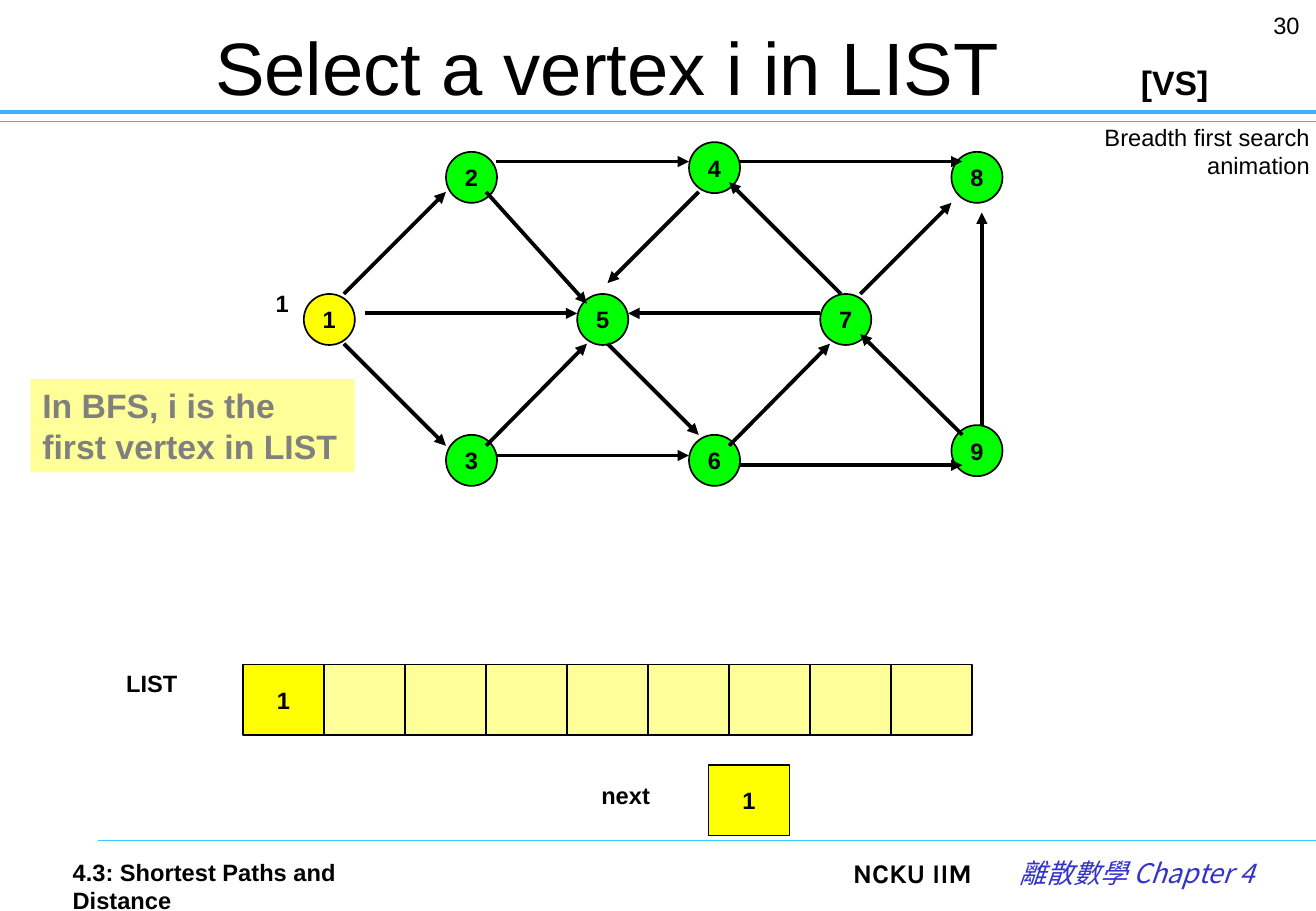
from dataclasses import dataclass

from lxml import etree
from pptx import Presentation
from pptx.dml.color import RGBColor
from pptx.enum.shapes import MSO_CONNECTOR, MSO_SHAPE
from pptx.enum.text import MSO_ANCHOR, PP_ALIGN
from pptx.oxml.ns import qn
from pptx.util import Inches, Pt

LEFT, CENTER, RIGHT = PP_ALIGN.LEFT, PP_ALIGN.CENTER, PP_ALIGN.RIGHT
TOP, MIDDLE = MSO_ANCHOR.TOP, MSO_ANCHOR.MIDDLE
OVAL, RECT = MSO_SHAPE.OVAL, MSO_SHAPE.RECTANGLE
STRAIGHT = MSO_CONNECTOR.STRAIGHT

BLACK, GREEN, YELLOW, PALE = "000000", "00FF00", "FFFF00", "FFFF99"
NODE = 0.42
CELL_W, CELL_H = 2 / 3, 0.58


@dataclass
class Label:
    text: str
    left: float
    top: float
    width: float
    height: float
    size: float = 14
    bold: bool = True
    italic: bool = False
    color: str = BLACK
    font: str = "Arial"
    align: PP_ALIGN = LEFT
    anchor: MSO_ANCHOR = TOP
    fill: str = ""
    pad: float = 0.1


@dataclass
class Box:
    kind: MSO_SHAPE
    left: float
    top: float
    width: float
    height: float
    fill: str
    text: str = ""


@dataclass
class Line:
    x1: float
    y1: float
    x2: float
    y2: float
    color: str = BLACK
    width: float = 2.25
    arrow: bool = True


def paint(target, color: str) -> None:
    target.rgb = RGBColor.from_string(color)


def fill_in(shape, color: str) -> None:
    shape.fill.solid()
    paint(shape.fill.fore_color, color)


def write(frame, label: Label) -> None:
    para = frame.paragraphs[0]
    para.alignment = label.align
    run = para.add_run()
    run.text = label.text
    font = run.font
    font.size, font.bold, font.italic = Pt(label.size), label.bold, label.italic
    font.name = label.font
    paint(font.color, label.color)
    props = run._r.get_or_add_rPr()
    etree.SubElement(props, qn("a:ea")).set("typeface", label.font)


def draw_label(slide, label: Label) -> None:
    area = map(Inches, (label.left, label.top, label.width, label.height))
    shape = slide.shapes.add_textbox(*area)
    frame = shape.text_frame
    frame.word_wrap = True
    frame.vertical_anchor = label.anchor
    frame.margin_left = frame.margin_right = Inches(label.pad)
    if label.fill:
        fill_in(shape, label.fill)
    write(frame, label)


def draw_box(slide, box: Box) -> None:
    area = (box.left, box.top, box.width, box.height)
    shape = slide.shapes.add_shape(box.kind, *map(Inches, area))
    shape.shadow.inherit = False
    fill_in(shape, box.fill)
    paint(shape.line.color, BLACK)
    shape.line.width = Pt(1)
    if box.text:
        frame = shape.text_frame
        frame.word_wrap = False
        frame.vertical_anchor = MIDDLE
        write(frame, Label(box.text, *area, align=CENTER))


def draw_line(slide, line: Line) -> None:
    ends = map(Inches, (line.x1, line.y1, line.x2, line.y2))
    link = slide.shapes.add_connector(STRAIGHT, *ends)
    paint(link.line.color, line.color)
    link.line.width = Pt(line.width)
    if line.arrow:
        tail = etree.SubElement(link.line._get_or_add_ln(), qn("a:tailEnd"))
        tail.set("type", "triangle")
    etree.SubElement(link._element.spPr, qn("a:effectLst"))


RULES = [
    Line(0, 1, 10.83, 1, "3DB0FF", 0.75, False),
    Line(0, 0.92, 10.83, 0.92, "3DB0FF", 2.5, False),
    Line(0.81, 6.92, 10.83, 6.92, "33CCFF", 0.75, False),
]

LABELS = [
    Label("NCKU IIM", 6.92, 7, 1.3, 0.4, 16, font="Karla"),
    Label("離散數學 Chapter 4", 8.2, 7, 2.22, 0.4, 16, False, True,
          "3333CC", "Noto Sans CJK SC", RIGHT),
    Label("Select a vertex i in LIST", 0.75, 0.25, 8.5, 0.58, 44, False,
          align=CENTER, anchor=MIDDLE),
    Label("LIST", 0.94, 5.46, 0.73, 0.34),
    Label("In BFS, i is the first vertex in LIST", 0.25, 3.12, 2.67, 0.77,
          20, color="808080", fill=PALE),
    Label("next", 4.85, 6.38, 0.71, 0.34),
    Label("1", 2.17, 2.33, 0.33, 0.34),
    Label("Breadth first search animation", 8.63, 0.96, 2.2, 0.5,
          bold=False, align=RIGHT, pad=0.05),
    Label("30", 10.38, 0.04, 0.45, 0.42, bold=False),
    Label("4.3: Shortest Paths and Distance", 0.5, 7.01, 3, 0.45),
    Label("[VS]", 9.29, 0.46, 0.76, 0.44, 20),
]

NODES = {
    "1": (2.5, 2.42), "2": (3.67, 1.25), "3": (3.67, 3.58),
    "4": (5.67, 1.17), "5": (4.75, 2.42), "6": (5.67, 3.58),
    "7": (6.75, 2.42), "8": (7.83, 1.25), "9": (7.83, 3.5),
}

EDGES = [
    Line(2.83, 2.42, 3.67, 1.58),
    Line(2.83, 2.83, 3.67, 3.67),
    Line(3, 2.58, 4.75, 2.58),
    Line(4.08, 1.33, 5.67, 1.33),
    Line(4, 1.58, 4.83, 2.5),
    Line(4, 3.67, 4.83, 2.83),
    Line(4.08, 3.75, 5.67, 3.75),
    Line(6.08, 1.33, 7.92, 1.33),
    Line(5.75, 1.58, 5, 2.33),
    Line(5, 2.83, 5.75, 3.58),
    Line(6, 3.67, 6.83, 2.83),
    Line(6.08, 3.83, 7.92, 3.83),
    Line(6.92, 2.42, 6, 1.5),
    Line(6.75, 2.58, 5.17, 2.58),
    Line(7.08, 2.42, 7.83, 1.67),
    Line(7.92, 3.58, 7.08, 2.75),
    Line(8.08, 3.5, 8.08, 1.75),
]


def main() -> None:
    deck = Presentation()
    deck.slide_width, deck.slide_height = Inches(10.83), Inches(7.5)
    slide = deck.slides.add_slide(deck.slide_layouts[6])

    for rule in RULES:
        draw_line(slide, rule)
    for label in LABELS:
        draw_label(slide, label)
    for name, (left, top) in NODES.items():
        tint = YELLOW if name == "1" else GREEN
        draw_box(slide, Box(OVAL, left, top, NODE, NODE, tint, name))
    for edge in EDGES:
        draw_line(slide, edge)

    queue = ["1"] + [""] * 8
    for i, name in enumerate(queue):
        tint = YELLOW if name else PALE
        left = 2 + i * CELL_W
        draw_box(slide, Box(RECT, left, 5.47, CELL_W, CELL_H, tint, name))
    draw_box(slide, Box(RECT, 5.83, 6.3, CELL_W, CELL_H, YELLOW, "1"))

    deck.save("out.pptx")


if __name__ == "__main__":
    main()
